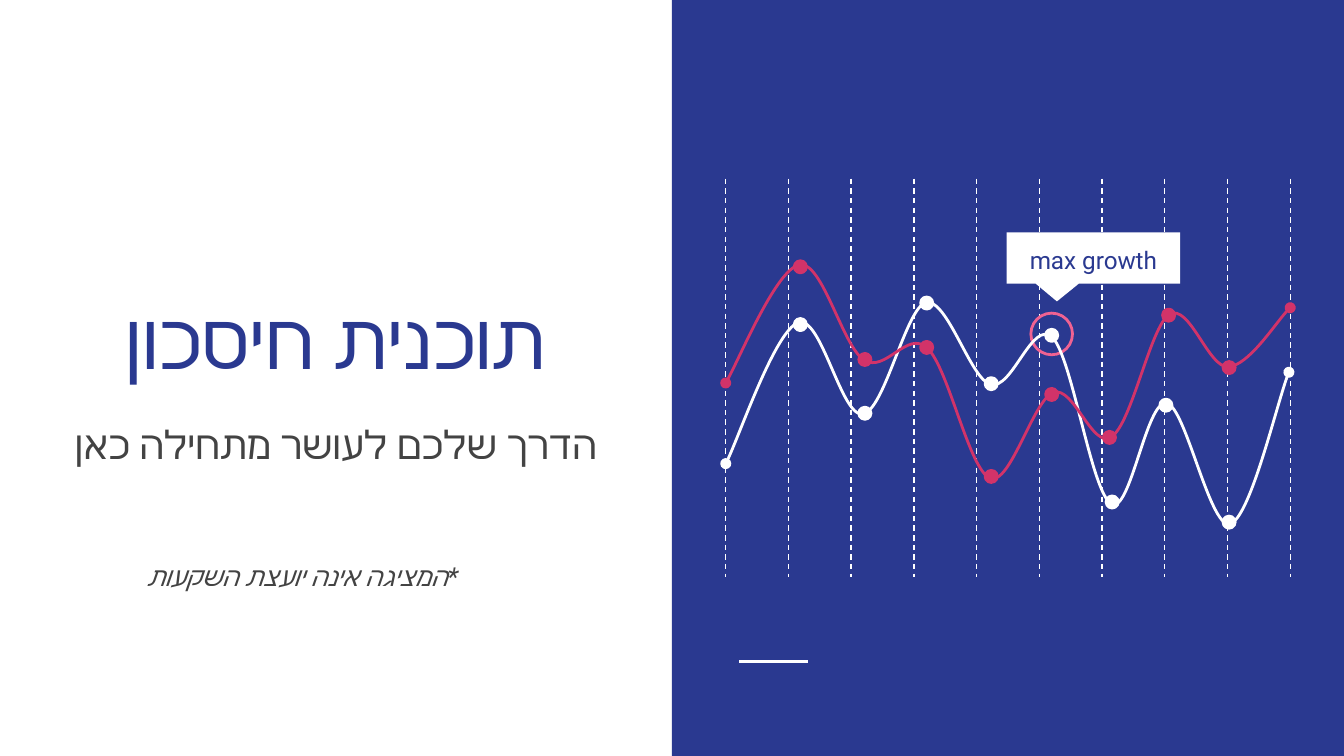
from lxml.etree import SubElement
from pptx import Presentation
from pptx.dml.color import RGBColor
from pptx.enum.dml import MSO_LINE
from pptx.enum.shapes import MSO_CONNECTOR, MSO_SHAPE
from pptx.enum.text import MSO_ANCHOR, MSO_AUTO_SIZE, PP_ALIGN
from pptx.oxml.ns import qn
from pptx.util import Inches, Pt

BLUE, PINK, ROSE, WHITE, GRAY = "2A3990", "D23369", "F06292", "FFFFFF", "434343"
FONT = "Roboto"
SLIDE_WIDTH = 10
SLIDE_HEIGHT = SLIDE_WIDTH * 9 / 16
DOT_SIZE = 0.09
GRID_LEFT, GRID_WIDTH, GRID_TOP, GRID_BOTTOM, GRID_LINES = 5.4, 4.2, 1.33, 4.29, 10

WHITE_CURVE = [
    (5.4, 3.45),
    (5.49, 3.28), (5.77, 2.46), (5.94, 2.4),
    (6.11, 2.34), (6.26, 3.11), (6.42, 3.08),
    (6.58, 3.06), (6.74, 2.29), (6.89, 2.25),
    (7.05, 2.22), (7.22, 2.82), (7.37, 2.86),
    (7.53, 2.91), (7.68, 2.37), (7.83, 2.51),
    (7.98, 2.66), (8.12, 3.67), (8.27, 3.75),
    (8.41, 3.83), (8.53, 2.97), (8.68, 3),
    (8.82, 3.02), (9, 3.93), (9.15, 3.9),
    (9.3, 3.86), (9.51, 2.96), (9.59, 2.77),
]
WHITE_DOTS = [(9.1, 3.84), (8.63, 2.97), (8.23, 3.69), (7.78, 2.45),
              (7.33, 2.81), (6.85, 2.21), (6.39, 3.03), (5.91, 2.37)]
PINK_CURVE = [
    (5.4, 2.85),
    (5.49, 2.7), (5.78, 2), (5.95, 1.97),
    (6.12, 1.94), (6.27, 2.58), (6.43, 2.68),
    (6.59, 2.78), (6.75, 2.45), (6.9, 2.59),
    (7.06, 2.74), (7.21, 3.5), (7.37, 3.56),
    (7.52, 3.61), (7.69, 2.97), (7.84, 2.92),
    (7.99, 2.87), (8.13, 3.35), (8.27, 3.25),
    (8.42, 3.16), (8.56, 2.43), (8.7, 2.34),
    (8.85, 2.25), (8.99, 2.74), (9.14, 2.73),
    (9.29, 2.72), (9.52, 2.36), (9.6, 2.29),
]
PINK_DOTS = [(5.91, 1.94), (6.39, 2.63), (6.85, 2.54), (7.33, 3.5),
             (7.78, 2.89), (8.21, 3.21), (8.65, 2.3), (9.1, 2.69)]


def color(value):
    return RGBColor.from_string(value)


def set_attributes(target, values):
    for name, value in values.items():
        setattr(target, name, value)


def style_shape(shape, fill=None, line=None):
    shape.shadow.inherit = False
    if fill:
        shape.fill.solid()
        shape.fill.fore_color.rgb = color(fill)
    else:
        shape.fill.background()
    if line:
        shape.line.color.rgb = color(line)
        shape.line.width = Pt(1.5)
    else:
        shape.line.fill.background()


def add_preset(shapes, preset, box, fill=None, line=None):
    shape = shapes.add_shape(preset, *map(Inches, box))
    style_shape(shape, fill, line)
    return shape


def add_line(shapes, start, end, width, dash=None):
    connector = shapes.add_connector(
        MSO_CONNECTOR.STRAIGHT, *map(Inches, start + end))
    connector.line.color.rgb = color(WHITE)
    set_attributes(connector.line, {"width": Pt(width), "dash_style": dash})
    SubElement(connector.element.spPr, qn("a:effectLst"))


def add_curve(shapes, points, line):
    start, *others = [(Inches(x), Inches(y)) for x, y in points]
    builder = shapes.build_freeform(*start)
    builder.add_line_segments(others, close=False)
    shape = builder.convert_to_shape()
    style_shape(shape, line=line)
    outline = shape.element.find(".//" + qn("a:path"))
    segments = outline.findall(qn("a:lnTo"))
    for index in range(0, len(segments), 3):
        curve = SubElement(outline, qn("a:cubicBezTo"))
        for segment in segments[index:index + 3]:
            curve.append(segment[0])
            outline.remove(segment)
    for end in ("a:headEnd", "a:tailEnd"):
        SubElement(shape.line._get_or_add_ln(), qn(end), type="oval")


def add_series(slide, points, dots, line):
    shapes = slide.shapes.add_group_shape().shapes
    add_curve(shapes, points, line)
    for left, top in dots:
        add_preset(shapes, MSO_SHAPE.OVAL,
                   (left, top, DOT_SIZE, DOT_SIZE), line, line)


def add_grid(slide):
    shapes = slide.shapes.add_group_shape().shapes
    for index in range(GRID_LINES):
        x = GRID_LEFT + index * GRID_WIDTH / (GRID_LINES - 1)
        add_line(shapes, (x, GRID_TOP), (x, GRID_BOTTOM), 0.75, MSO_LINE.DASH)


def fill_placeholder(shape, text, box, size, text_color, anchor=MSO_ANCHOR.TOP,
                     italic=False, right_to_left=True, indent=0, spacing=1.0):
    set_attributes(shape, dict(zip(("left", "top", "width", "height"), map(Inches, box))))
    frame = shape.text_frame
    margins = dict.fromkeys(
        ("margin_left", "margin_top", "margin_right", "margin_bottom"), Inches(0.1))
    set_attributes(frame, {"word_wrap": True, "auto_size": MSO_AUTO_SIZE.NONE,
                           "vertical_anchor": anchor, **margins})
    paragraph = frame.paragraphs[0]
    set_attributes(paragraph, {"alignment": PP_ALIGN.CENTER, "line_spacing": spacing,
                               "space_before": Pt(0), "space_after": Pt(0)})
    properties = paragraph._p.get_or_add_pPr()
    properties.set("marL", str(Inches(indent)))
    properties.set("indent", "0")
    properties.set("rtl", str(int(right_to_left)))
    SubElement(properties, qn("a:buNone"))
    run = paragraph.add_run()
    run.text = text
    set_attributes(run.font, {"name": FONT, "size": Pt(size),
                              "bold": False, "italic": italic})
    run.font.color.rgb = color(text_color)
    SubElement(run._r.get_or_add_rPr(), qn("a:cs"), typeface=FONT)


def main():
    presentation = Presentation()
    set_attributes(presentation, {"slide_width": Inches(SLIDE_WIDTH),
                                  "slide_height": Inches(SLIDE_HEIGHT)})
    slide = presentation.slides.add_slide(presentation.slide_layouts[4])
    title, subtitle, note, callout_text, unused = slide.placeholders
    unused.element.getparent().remove(unused.element)

    fill_placeholder(title, "תוכנית חיסכון", (0.29, 1.26, 4.42, 1.71), 42, BLUE,
                     anchor=MSO_ANCHOR.BOTTOM)
    fill_placeholder(subtitle, "הדרך שלכם לעושר מתחילה כאן",
                     (0.29, 3.03, 4.42, 1.39), 21, GRAY)
    fill_placeholder(note, "*המציגה אינה יועצת השקעות",
                     (0.29, 4.07, 4.42, 1.39), 14, GRAY, italic=True, indent=0.5)
    fill_placeholder(callout_text, "max growth", (7.49, 1.76, 1.29, 0.31), 13, BLUE,
                     anchor=MSO_ANCHOR.MIDDLE, right_to_left=False, spacing=1.15)

    add_preset(slide.shapes, MSO_SHAPE.RECTANGLE,
               (SLIDE_WIDTH / 2, 0, SLIDE_WIDTH / 2, SLIDE_HEIGHT), BLUE)
    add_line(slide.shapes, (5.5, 4.92), (6.01, 4.92), 1.5)
    add_grid(slide)
    add_preset(slide.shapes, MSO_SHAPE.OVAL, (7.67, 2.33, 0.31, 0.31), line=ROSE)
    add_series(slide, WHITE_CURVE, WHITE_DOTS, WHITE)
    callout = add_preset(slide.shapes, MSO_SHAPE.ROUNDED_RECTANGULAR_CALLOUT,
                         (7.49, 1.73, 1.29, 0.38), WHITE)
    for index, value in enumerate((-0.21, 0.85, 0)):
        callout.adjustments[index] = value
    add_series(slide, PINK_CURVE, PINK_DOTS, PINK)
    slide.shapes.element.append(callout_text.element)
    presentation.save("out.pptx")


if __name__ == "__main__":
    main()
